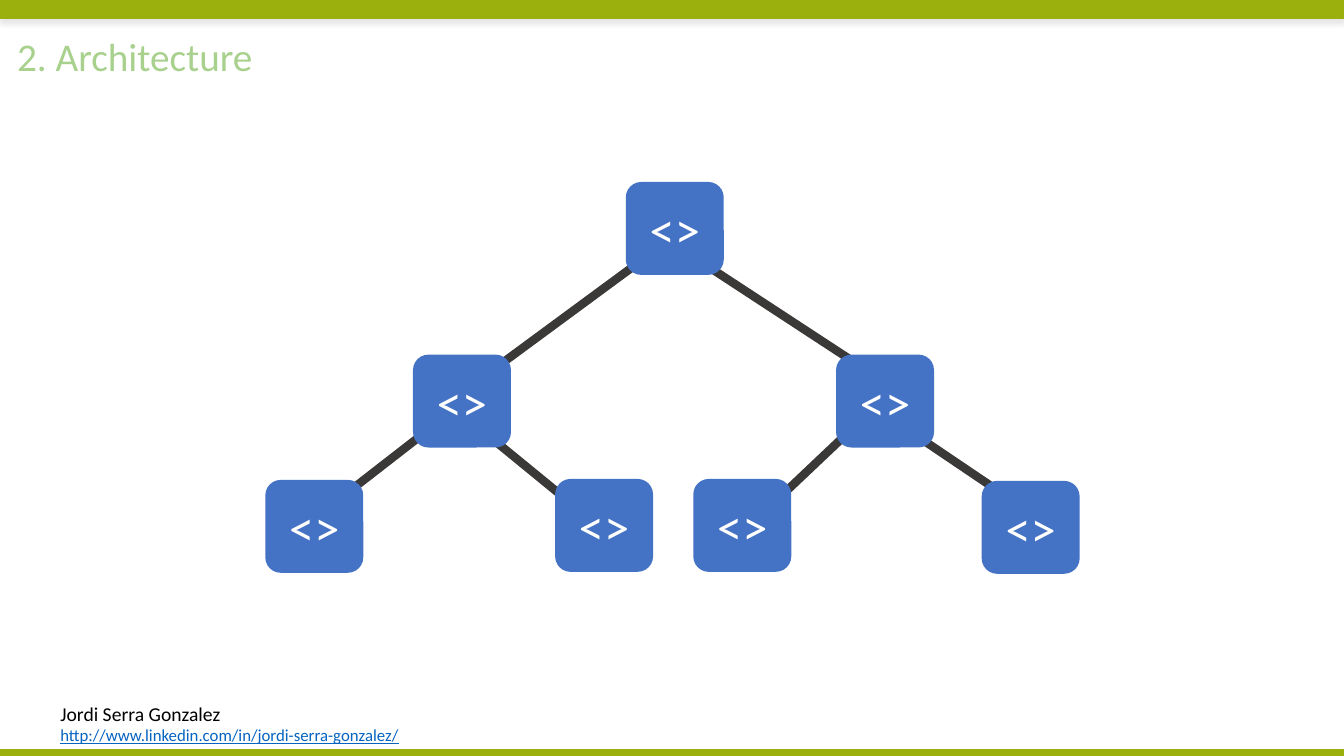
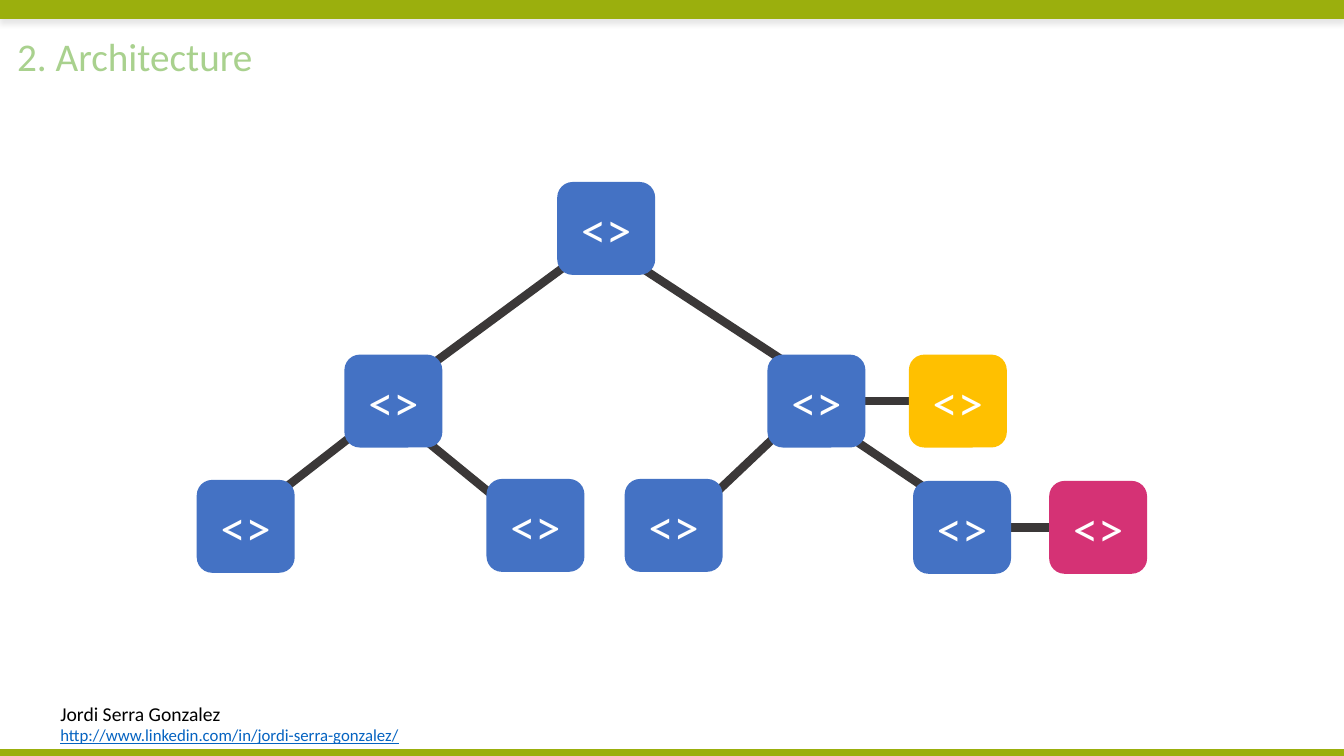
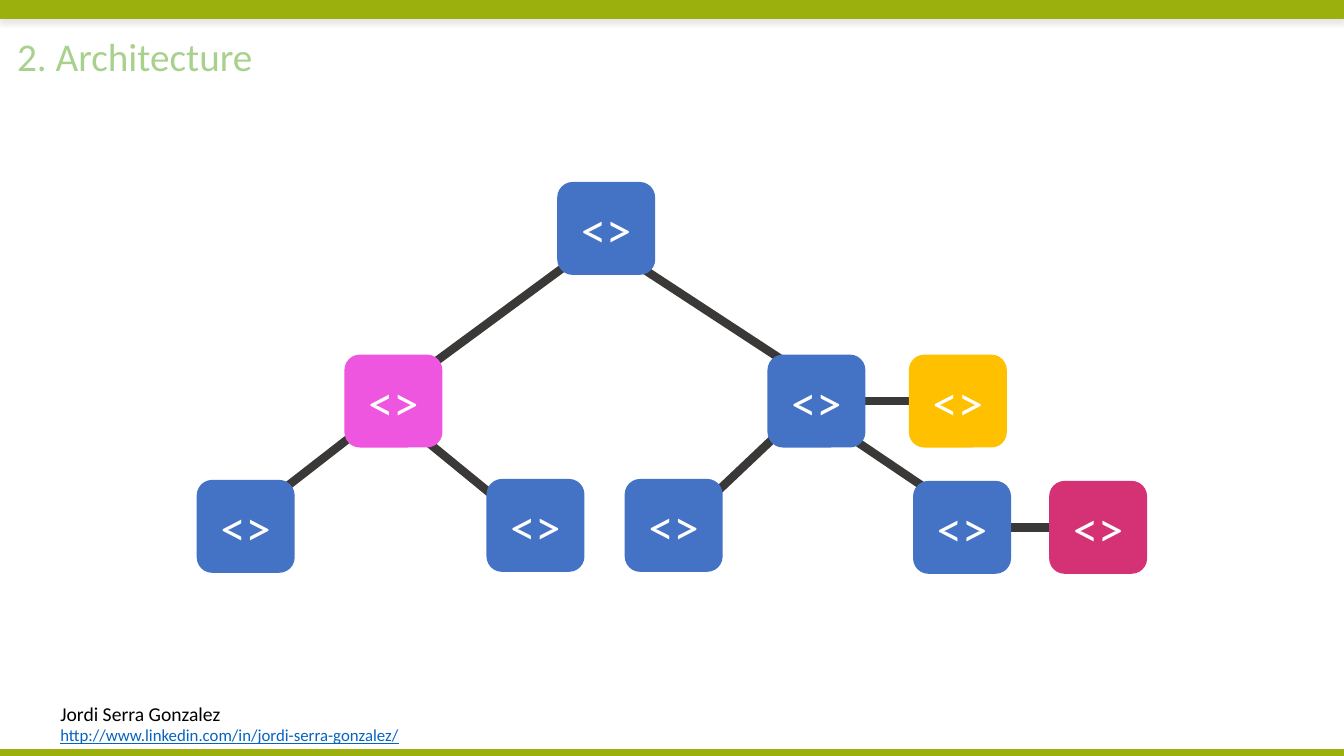
from lxml import etree
from pptx import Presentation
from pptx.dml.color import RGBColor
from pptx.enum import shapes, text
from pptx.oxml.ns import qn
from pptx.util import Pt

GREEN = RGBColor(0x9B, 0xAF, 0x0D)
TITLE_GREEN = RGBColor(0xA9, 0xD1, 0x8E)
BLUE = RGBColor(0x44, 0x72, 0xC4)
YELLOW = RGBColor(0xFF, 0xC0, 0x00)
CRIMSON = RGBColor(0xD5, 0x32, 0x75)
PINK = RGBColor(0xEF, 0x56, 0xE0)
GREY = RGBColor(0x3B, 0x38, 0x38)
LINK = RGBColor(0x05, 0x63, 0xC1)
BLACK = RGBColor(0, 0, 0)
WHITE = RGBColor(255, 255, 255)

FONT = "Calibri"
WIDTH, HEIGHT = 960, 540
NODE_W, NODE_H = 70, 66.4

TITLE = "2. Architecture"
AUTHOR = "Jordi Serra Gonzalez"
URL = "http://www.linkedin.com/in/jordi-serra-gonzalez/"

# Node centres
TREE = {
    "root": (433, 163.2),
    "left": (281, 286.5),
    "right": (583.2, 286.5),
    "leaf 1": (175.5, 376),
    "leaf 2": (382.5, 375.3),
    "leaf 3": (481.2, 375.3),
    "leaf 4": (687.2, 376.7),
}
EXTRAS = {"right sibling": (684.2, 286.5), "leaf sibling": (784.4, 376.7)}

# Parent, child, and the offset of each line end from its node's centre
EDGES = [
    ("right", "right sibling", (0, 0), (0, 0)),
    ("leaf 4", "leaf sibling", (0, 0), (0, 0)),
    ("right", "leaf 4", (11, 17), (-9, -16.5)),
    ("right", "leaf 3", (-9, 6), (4, 1.5)),
    ("left", "leaf 2", (-4, 6), (0, 3.5)),
    ("left", "leaf 1", (-4, 5), (-10.5, 2.5)),
    ("root", "right", (9, 17.5), (-5.5, -17)),
    ("root", "left", (-9, 12), (0, -6)),
]

EXTRA_COLORS = {"right sibling": YELLOW, "leaf sibling": CRIMSON}
SLIDES = [
    dict(nodes=TREE, shift=49, colors={}),
    dict(nodes=TREE | EXTRAS, shift=0, colors=EXTRA_COLORS),
    dict(nodes=TREE | EXTRAS, shift=0, colors=EXTRA_COLORS | {"left": PINK}),
]


def write(p, content, size, color, align=text.PP_ALIGN.LEFT, underline=None):
    p.alignment = align
    r = p.add_run()
    r.text = content
    r.font.name, r.font.size = FONT, Pt(size)
    r.font.color.rgb = color
    r.font.underline = underline


def add_box(slide, kind, x, y, w, h, fill):
    sp = slide.shapes.add_shape(kind, Pt(x), Pt(y), Pt(w), Pt(h))
    sp.shadow.inherit = False
    sp.fill.solid()
    sp.fill.fore_color.rgb = fill
    sp.line.fill.background()
    return sp


def add_band(slide, y, h):
    sp = add_box(slide, shapes.MSO_SHAPE.RECTANGLE, 0, y, WIDTH, h, GREEN)
    sp.line.color.rgb = GREEN
    sp.line.width = Pt(1)
    return sp


def add_soft_shadow(sp):
    effects = sp._element.spPr.find(qn("a:effectLst"))
    shadow = etree.SubElement(effects, qn("a:outerShdw"), blurRad=str(Pt(4)),
                              dist=str(Pt(3)), dir="5400000", rotWithShape="0")
    color = etree.SubElement(shadow, qn("a:srgbClr"), val="000000")
    etree.SubElement(color, qn("a:alpha"), val="10000")


def add_frame(slide):
    """Add the bands, the author footer and the title."""
    add_soft_shadow(add_band(slide, 0, 12.8))

    tf = slide.shapes.add_textbox(Pt(36), Pt(497.5), Pt(258.5), Pt(39)).text_frame
    tf.word_wrap = False
    write(tf.paragraphs[0], AUTHOR, 14, BLACK)
    write(tf.add_paragraph(), URL, 12, LINK, underline=True)
    add_band(slide, 535.6, HEIGHT - 535.6)

    title = slide.shapes.title
    title.left, title.top, title.width, title.height = Pt(5), Pt(19.5), Pt(915), Pt(41)
    tf = title.text_frame
    tf.auto_size = text.MSO_AUTO_SIZE.NONE
    tf.vertical_anchor = text.MSO_ANCHOR.TOP
    write(tf.paragraphs[0], TITLE, 28, TITLE_GREEN)


def add_edge(slide, start, end):
    line = slide.shapes.add_connector(shapes.MSO_CONNECTOR.STRAIGHT,
                                      *map(Pt, start + end))
    line.line.color.rgb = GREY
    line.line.width = Pt(6)
    etree.SubElement(line._element.spPr, qn("a:effectLst"))


def add_node(slide, x, y, fill):
    sp = add_box(slide, shapes.MSO_SHAPE.ROUNDED_RECTANGLE,
                 x - NODE_W / 2, y - NODE_H / 2, NODE_W, NODE_H, fill)
    tf = sp.text_frame
    tf.vertical_anchor = text.MSO_ANCHOR.MIDDLE
    write(tf.paragraphs[0], "<>", 36, WHITE, align=text.PP_ALIGN.CENTER)


def add_tree(slide, nodes, shift, colors):
    def place(name, offset=(0, 0)):
        x, y = nodes[name]
        return x + shift + offset[0], y + offset[1]

    for parent, child, start, end in EDGES:
        if child in nodes:
            add_edge(slide, place(parent, start), place(child, end))
    for name in nodes:
        add_node(slide, *place(name), colors.get(name, BLUE))


def main():
    prs = Presentation()
    prs.slide_width, prs.slide_height = Pt(WIDTH), Pt(HEIGHT)
    for tree in SLIDES:
        slide = prs.slides.add_slide(prs.slide_layouts[5])
        add_frame(slide)
        add_tree(slide, **tree)
    prs.save("out.pptx")


if __name__ == "__main__":
    main()
